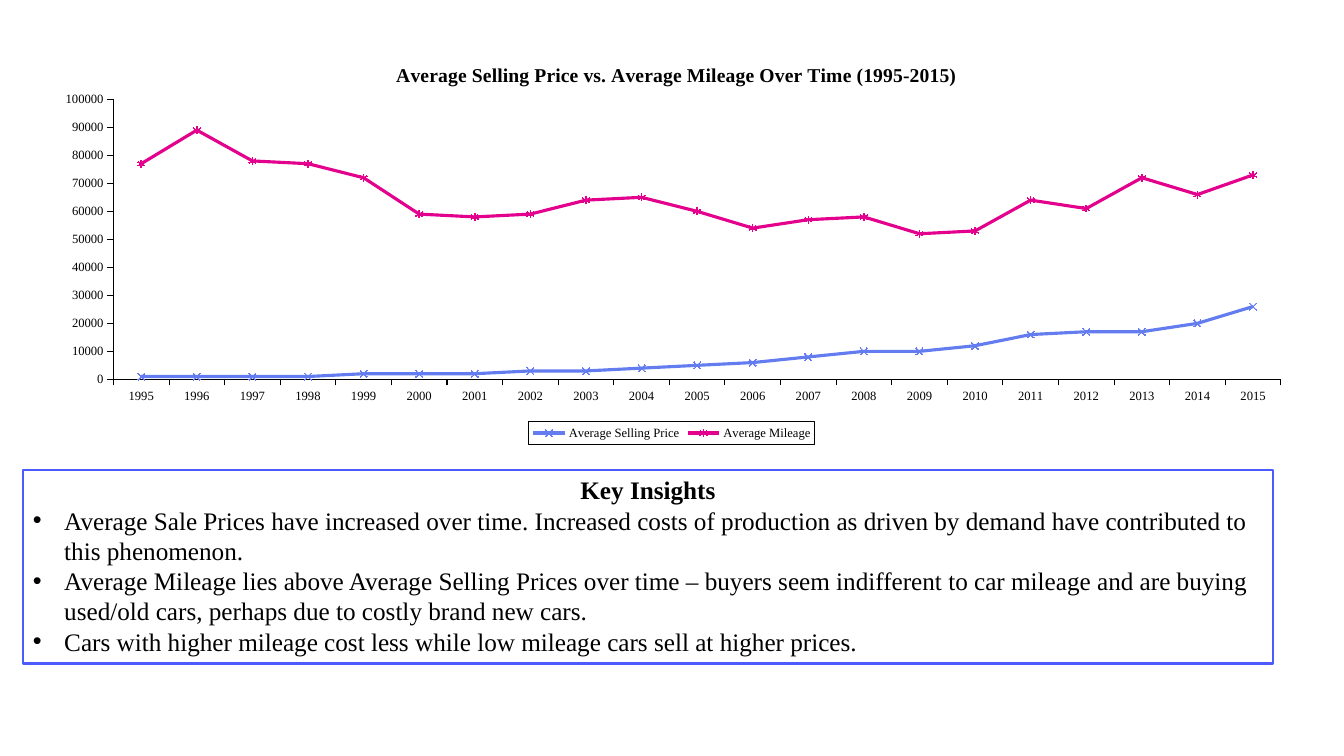
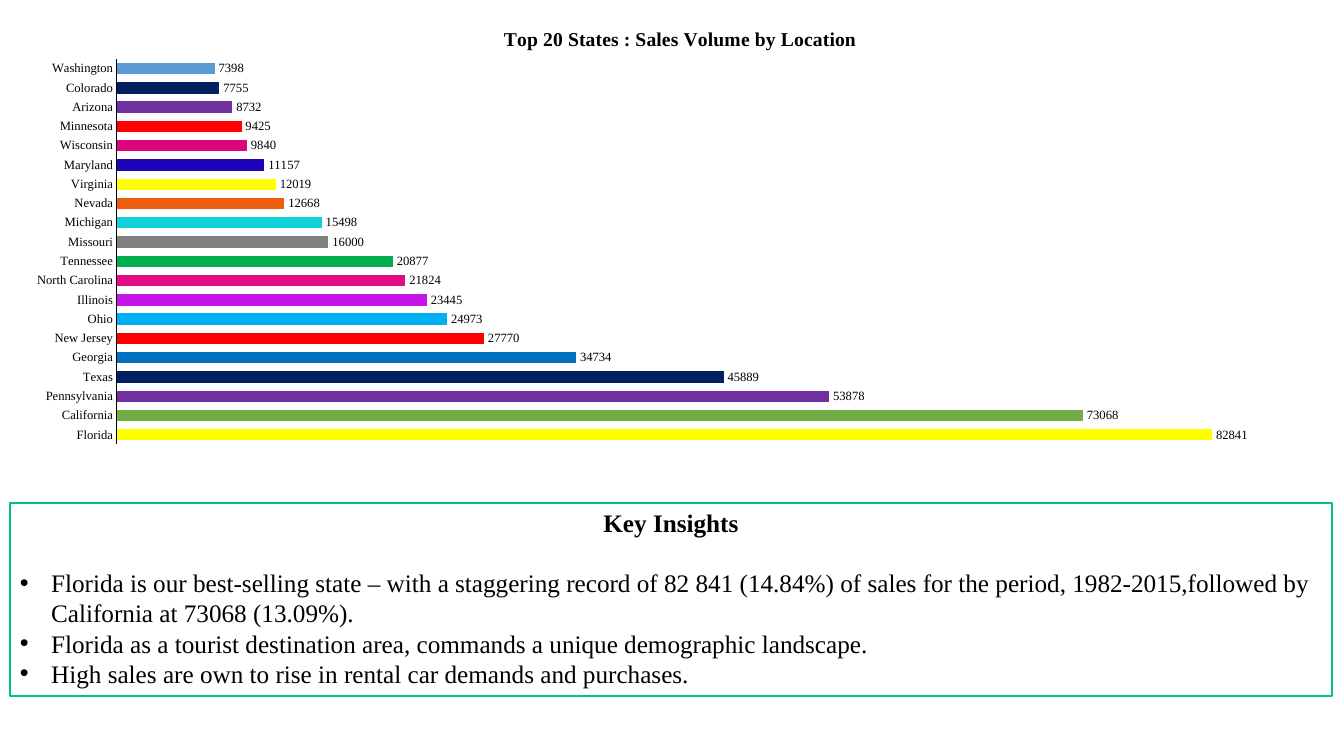
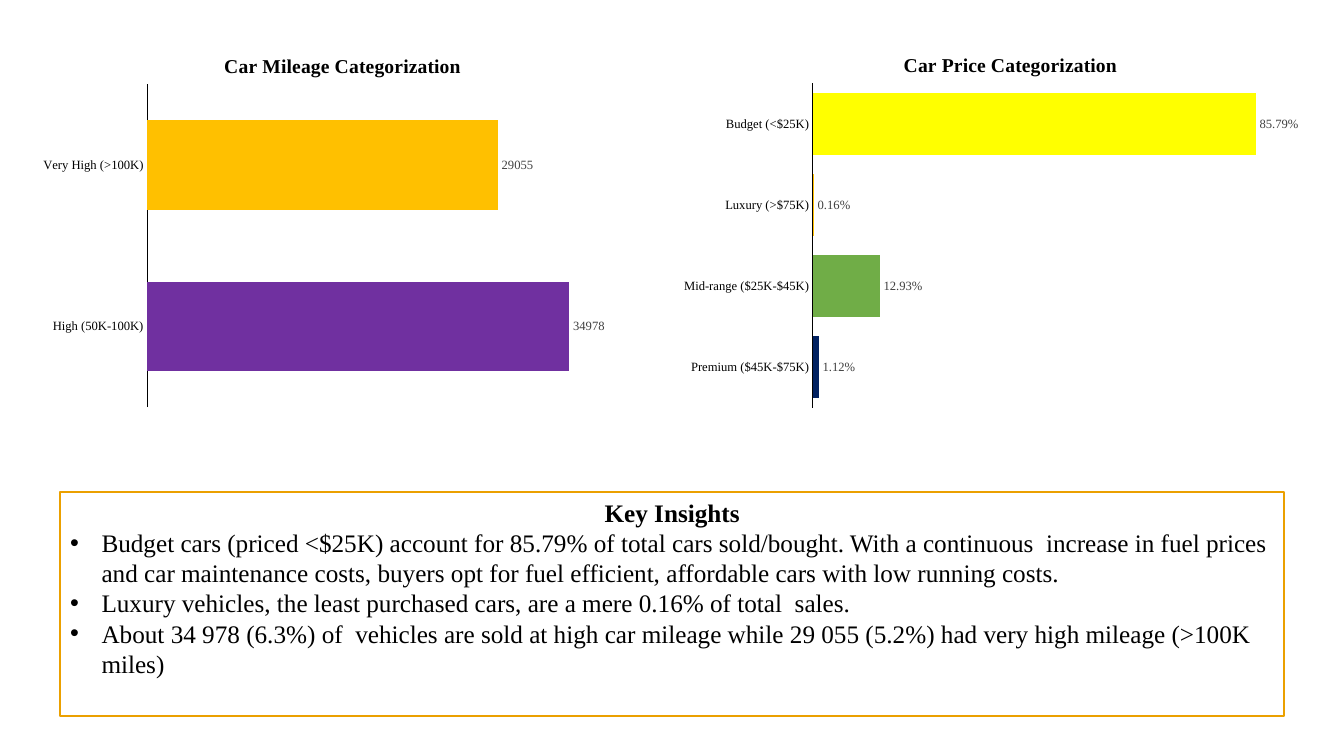
import lxml.etree
import pptx
import pptx.chart.data
import pptx.dml.color
import pptx.enum.chart
import pptx.enum.shapes
import pptx.enum.text
import pptx.oxml.ns
import pptx.util

Cm = pptx.util.Cm
Pt = pptx.util.Pt
qn = pptx.oxml.ns.qn
xl = pptx.enum.chart

COLORS = {
    "black": "000000", "white": "FFFFFF", "label": "404040",
    "box_blue": "4D5AFF", "box_green": "00C777", "box_amber": "EBA000",
    "price": "637CEF", "mileage": "E3008C",
    "yellow": "FFFF00", "leaf": "70AD47", "purple": "7030A0", "navy": "002060",
    "blue": "0070C0", "red": "FF0000", "sky": "00B0F0", "violet": "C615E6",
    "pink": "E30B86", "green": "00B050", "grey": "808080", "turquoise": "0FD2D9",
    "orange": "ED5E0C", "indigo": "1C04BA", "magenta": "DB047B",
    "steel": "5B9BD5", "gold": "FFC000",
}


def rgb(name):
    return pptx.dml.color.RGBColor.from_string(COLORS[name])


def add_xml(parent, tag, **attrs):
    return lxml.etree.SubElement(parent, qn(tag), attrs)


def set_layout(element, index, inner=False, **fractions):
    """Place a chart part by fractions of the chart's size."""
    for old in element.findall(qn("c:layout")):
        element.remove(old)
    layout = lxml.etree.Element(qn("c:layout"))
    manual = add_xml(layout, "c:manualLayout")
    if inner:
        add_xml(manual, "c:layoutTarget", val="inner")
    for mode in ("c:xMode", "c:yMode"):
        add_xml(manual, mode, val="edge")
    for key, value in fractions.items():
        add_xml(manual, "c:" + key, val=str(value))
    element.insert(index, layout)


class Deck:
    font = "Times New Roman"
    chart_font = "Lato"

    def __init__(self):
        self.prs = pptx.Presentation()
        self.prs.slide_width, self.prs.slide_height = Cm(33.87), Cm(19.05)
        self.s = None

    def slide(self):
        self.s = self.prs.slides.add_slide(self.prs.slide_layouts[6])

    def style(self, font, size, color="black", bold=False):
        font.name, font.size, font.bold = self.font, Pt(size), bold
        font.color.rgb = rgb(color)

    def insights(self, box, border, bullets, heading_gap=0):
        """Outlined box with a centred heading and bullets."""
        sp = self.s.shapes.add_shape(pptx.enum.shapes.MSO_SHAPE.RECTANGLE, *map(Cm, box))
        sp.shadow.inherit = False
        sp.fill.solid()
        sp.fill.fore_color.rgb = rgb("white")
        sp.line.color.rgb = rgb(border)
        sp.line.width = Pt(1.5)
        tf = sp.text_frame
        tf.word_wrap = True
        tf.vertical_anchor = pptx.enum.text.MSO_ANCHOR.TOP
        heading = tf.paragraphs[0]
        heading.text = "Key Insights"
        heading.alignment = pptx.enum.text.PP_ALIGN.CENTER
        heading.space_after = Pt(heading_gap)
        self.style(heading.runs[0].font, 18, bold=True)
        for text in bullets:
            p = tf.add_paragraph()
            p.text = text
            p.alignment = pptx.enum.text.PP_ALIGN.LEFT
            pPr = p._p.get_or_add_pPr()
            pPr.set("marL", str(Cm(0.79)))
            pPr.set("indent", str(-Cm(0.79)))
            add_xml(pPr, "a:buFont", typeface="Arial")
            add_xml(pPr, "a:buChar", char="•")
            self.style(p.runs[0].font, 18)

    def chart(self, kind, box, title, title_x, plot, cats, series, top):
        """Chart with the shared fonts, title and axes; plot is x, y, w, h."""
        data = pptx.chart.data.CategoryChartData()
        data.categories = cats
        for name, values in series:
            data.add_series(name, values)
        chart = self.s.shapes.add_chart(kind, *map(Cm, box), data).chart
        chart.font.name, chart.font.size = self.chart_font, Pt(10)
        chart.font.color.rgb = rgb("black")
        chart.has_legend = False
        tf = chart.chart_title.text_frame
        tf.text = title
        self.style(tf.paragraphs[0].runs[0].font, 14, bold=True)
        chart.chart_title.include_in_layout = False
        root = chart._chartSpace
        set_layout(root.xpath("c:chart/c:title")[0], 1, x=title_x, y=0.05)
        set_layout(root.xpath("c:chart/c:plotArea")[0], 0, True, **dict(zip("xywh", plot)))
        chart.value_axis.has_major_gridlines = False
        chart.value_axis.minimum_scale, chart.value_axis.maximum_scale = 0, top
        self.axis(chart.category_axis, xl.XL_TICK_MARK.NONE)
        return chart

    def axis(self, axis, tick):
        axis.has_major_gridlines = False
        axis.major_tick_mark, axis.minor_tick_mark = tick, xl.XL_TICK_MARK.NONE
        axis.format.line.color.rgb = rgb("black")
        axis.format.line.width = Pt(0.75)
        self.style(axis.tick_labels.font, 9)

    def line_chart(self, box, title, title_x, plot, cats, lines, top):
        """Marked lines; each is name, colour, marker, values."""
        chart = self.chart(xl.XL_CHART_TYPE.LINE_MARKERS, box, title, title_x, plot, cats,
                           [(name, values) for name, _, _, values in lines], top)
        for axis in (chart.category_axis, chart.value_axis):
            self.axis(axis, xl.XL_TICK_MARK.OUTSIDE)
        for ser, (_, color, marker, _) in zip(chart.plots[0].series, lines):
            ser.smooth = False
            ser.format.line.color.rgb = rgb(color)
            ser.format.line.width = Pt(2.25)
            ser.marker.style, ser.marker.size = marker, 5
            ser.marker.format.fill.background()
            ser.marker.format.line.color.rgb = rgb(color)
        chart.plots[0].vary_by_categories = False
        chart.has_legend = True
        legend = chart.legend
        legend.position = xl.XL_LEGEND_POSITION.BOTTOM
        legend.include_in_layout = False
        self.style(legend.font, 9)
        border = lxml.etree.Element(qn("c:spPr"))
        ln = add_xml(border, "a:ln", w=str(Pt(0.75)))
        add_xml(add_xml(ln, "a:solidFill"), "a:srgbClr", val=COLORS["black"])
        legend._element.find(qn("c:txPr")).addprevious(border)

    def bar_chart(self, box, title, title_x, plot, bars, top, gap,
                  label_color="label", number_format="General"):
        """Horizontal bars from the bottom up; each is category, value, colour."""
        cats, values, colors = zip(*bars)
        chart = self.chart(xl.XL_CHART_TYPE.BAR_CLUSTERED, box, title, title_x, plot,
                           cats, [("Series 1", values)], top)
        chart.value_axis.visible = False
        bar_plot = chart.plots[0]
        bar_plot.gap_width = gap
        bar_plot.vary_by_categories = False
        ser = bar_plot.series[0]
        for i, color in enumerate(colors):
            fill = ser.points[i].format.fill
            fill.solid()
            fill.fore_color.rgb = rgb(color)
        labels = ser.data_labels
        labels.show_value = True
        labels.position = xl.XL_LABEL_POSITION.OUTSIDE_END
        labels.number_format = number_format
        labels.number_format_is_linked = False
        self.style(labels.font, 9, label_color)


def main():
    deck = Deck()

    deck.slide()
    deck.insights((0.58, 11.84, 31.5, 4.88), "box_blue", [
        "Average Sale Prices have increased over time. Increased costs of production as driven "
        "by demand have contributed to this phenomenon.",
        "Average Mileage lies above Average Selling Prices over time – buyers seem indifferent "
        "to car mileage and are buying used/old cars, perhaps due to costly brand new cars.",
        "Cars with higher mileage cost less while low mileage cars sell at higher prices.",
    ])
    price = [1, 1, 1, 1, 2, 2, 2, 3, 3, 4, 5, 6, 8, 10, 10, 12, 16, 17, 17, 20, 26]
    mileage = [77, 89, 78, 77, 72, 59, 58, 59, 64, 65, 60, 54, 57, 58, 52, 53, 64, 61,
               72, 66, 73]
    deck.line_chart(
        (0.94, 0.97, 31.98, 10.24),
        "Average Selling Price vs. Average Mileage Over Time (1995-2015)", 0.28,
        (0.06, 0.15, 0.92, 0.69), [str(year) for year in range(1995, 2016)],
        [("Average Selling Price", "price", xl.XL_MARKER_STYLE.X, [v * 1000 for v in price]),
         ("Average Mileage", "mileage", xl.XL_MARKER_STYLE.STAR, [v * 1000 for v in mileage])],
        100000)

    deck.slide()
    deck.bar_chart(
        (0.28, 0, 33.32, 11.43), "Top 20 States : Sales Volume by Location", 0.37,
        (0.08, 0.13, 0.9, 0.85),
        [("Florida", 82841, "yellow"), ("California", 73068, "leaf"),
         ("Pennsylvania", 53878, "purple"), ("Texas", 45889, "navy"),
         ("Georgia", 34734, "blue"), ("New Jersey", 27770, "red"),
         ("Ohio", 24973, "sky"), ("Illinois", 23445, "violet"),
         ("North Carolina", 21824, "pink"), ("Tennessee", 20877, "green"),
         ("Missouri", 16000, "grey"), ("Michigan", 15498, "turquoise"),
         ("Nevada", 12668, "orange"), ("Virginia", 12019, "yellow"),
         ("Maryland", 11157, "indigo"), ("Wisconsin", 9840, "magenta"),
         ("Minnesota", 9425, "red"), ("Arizona", 8732, "purple"),
         ("Colorado", 7755, "navy"), ("Washington", 7398, "steel")],
        90000, 69, label_color="black")
    deck.insights((0.25, 12.67, 33.32, 4.88), "box_green", [
        "Florida is our best-selling state – with a staggering record of 82 841 (14.84%) of "
        "sales for the period, 1982-2015,followed by California at 73068 (13.09%).",
        "Florida as a tourist destination area, commands a unique demographic landscape.",
        "High sales are own to rise in rental car demands and purchases.",
    ], heading_gap=21)

    deck.slide()
    deck.bar_chart(
        (16.94, 0.74, 16.89, 9.73), "Car Price Categorization", 0.34,
        (0.21, 0.14, 0.77, 0.84),
        [("Premium ($45K-$75K)", 0.0112, "navy"), ("Mid-range ($25K-$45K)", 0.1293, "leaf"),
         ("Luxury (>$75K)", 0.0016, "gold"), ("Budget (<$25K)", 0.8579, "yellow")],
        1, 30, number_format="0.00%")
    deck.bar_chart(
        (0.79, 0.76, 15.39, 9.7), "Car Mileage Categorization", 0.31,
        (0.19, 0.14, 0.79, 0.84),
        [("High (50K-100K)", 34978, "purple"), ("Very High (>100K)", 29055, "gold")],
        40000, 80)
    deck.insights((1.52, 12.4, 30.84, 5.64), "box_amber", [
        "Budget cars (priced <$25K) account for 85.79% of total cars sold/bought. With a "
        "continuous  increase in fuel prices and car maintenance costs, buyers opt for fuel "
        "efficient, affordable cars with low running costs.",
        "Luxury vehicles, the least purchased cars, are a mere 0.16% of total  sales.",
        "About 34 978 (6.3%) of  vehicles are sold at high car mileage while 29 055 (5.2%) "
        "had very high mileage (>100K miles)",
    ])

    deck.prs.save("out.pptx")


if __name__ == "__main__":
    main()
